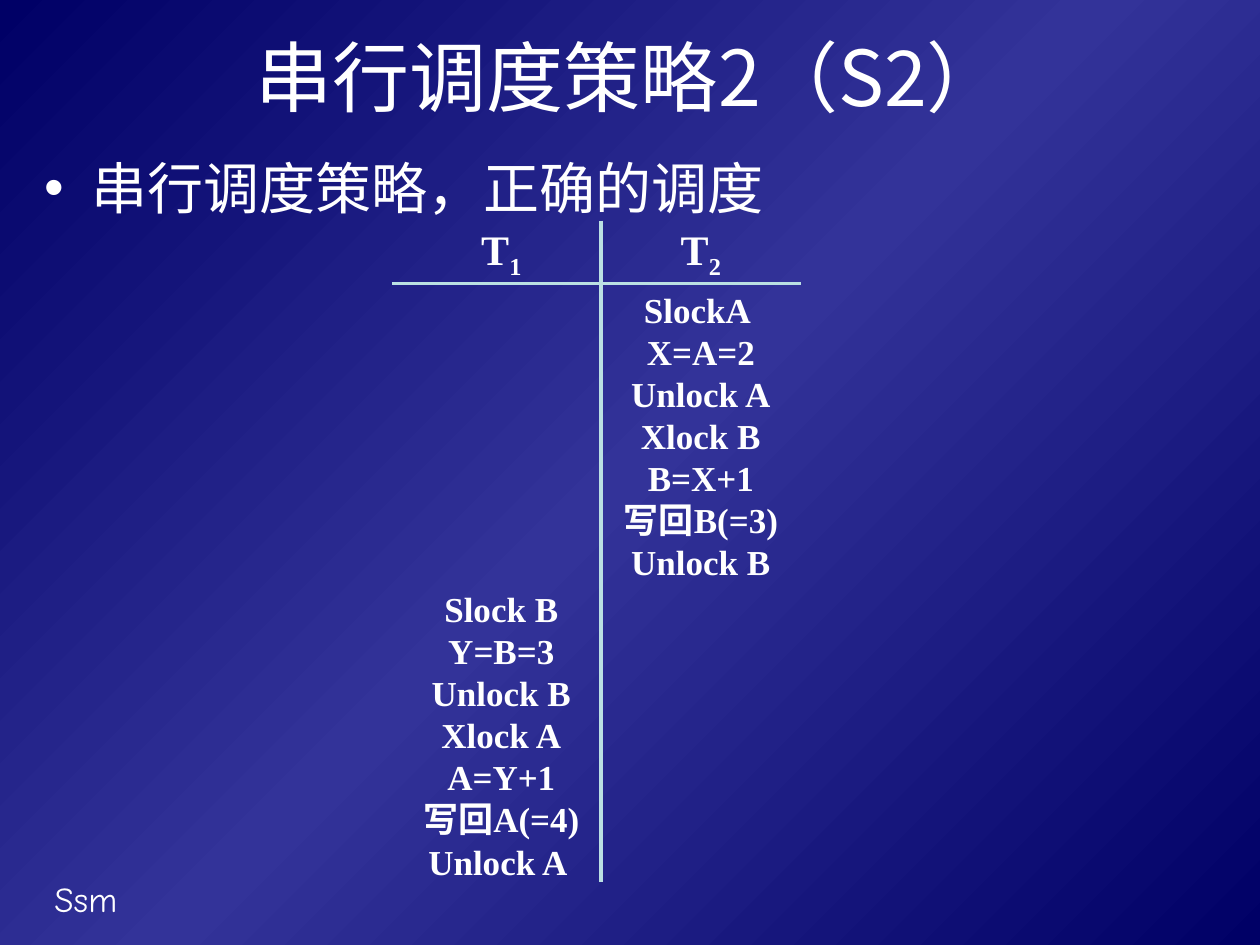
from copy import deepcopy

from lxml import etree
from pptx import Presentation
from pptx.dml.color import RGBColor
from pptx.enum.shapes import MSO_CONNECTOR
from pptx.enum.text import MSO_ANCHOR, MSO_AUTO_SIZE, PP_ALIGN
from pptx.oxml.ns import qn
from pptx.util import Pt

LEFT, MID = PP_ALIGN.LEFT, PP_ALIGN.CENTER
TOP, CENTER, BOTTOM = MSO_ANCHOR.TOP, MSO_ANCHOR.MIDDLE, MSO_ANCHOR.BOTTOM
FIXED = MSO_AUTO_SIZE.NONE
STRAIGHT = MSO_CONNECTOR.STRAIGHT

WHITE = RGBColor(0xFF, 0xFF, 0xFF)
NAVY = RGBColor(0x00, 0x00, 0x66)
INDIGO = RGBColor(0x33, 0x33, 0x99)
PALE = RGBColor(0xBB, 0xE0, 0xE3)

SANS, SERIF, COMIC = "Noto Sans CJK SC", "Times New Roman", "Comic Neue"

COL_W = 114
AXIS_X = 343.5
COL_X = {"1": AXIS_X - COL_W, "2": AXIS_X}
HEAD_Y, RULE_Y, END_Y = 126, 162, 504

STEPS_1 = ["Slock B", "Y=B=3", "Unlock B", "Xlock A", "A=Y+1",
           "写回A(=4)", "Unlock A "]
STEPS_2 = ["SlockA ", "X=A=2", "Unlock A", "Xlock B", "B=X+1",
           "写回B(=3)", "Unlock B"]


def paint_back(slide):
    fill = slide.background.fill
    fill.gradient()
    fill.gradient_angle = 315
    stops = slide.element.find(".//" + qn("a:gsLst"))
    stops.append(deepcopy(stops[0]))
    for stop, place, color in zip(fill.gradient_stops, (0, 0.5, 1),
                                  (NAVY, INDIGO, NAVY)):
        stop.position = place
        stop.color.rgb = color


def add_run(para, text, size, font, bold=False, sub=False):
    run = para.add_run()
    run.text = text
    run.font.size = Pt(size)
    run.font.bold = bold
    run.font.color.rgb = WHITE
    run.font.name = font
    props = run.font._element
    etree.SubElement(props, qn("a:ea")).set("typeface", SANS)
    if sub:
        props.set("baseline", "-25000")


def write(shape, lines, size=20, font=SERIF, bold=False, align=MID,
          anchor=CENTER, wrap=False, pitch=None, sub=None):
    """Fill a shape, one paragraph a line; sub is a subscript at the end."""
    frame = shape.text_frame
    frame.auto_size = FIXED
    frame.word_wrap = wrap
    frame.vertical_anchor = anchor
    for i, line in enumerate(lines):
        para = frame.add_paragraph() if i else frame.paragraphs[0]
        para.alignment = align
        para.space_before = Pt(0)
        if pitch:
            para.line_spacing = Pt(pitch)
        add_run(para, line, size, font, bold)
        if sub:
            add_run(para, sub, size, font, bold, sub=True)
    return frame


def add_box(slide, x, y, w, h):
    return slide.shapes.add_textbox(Pt(x), Pt(y), Pt(w), Pt(h))


def place(shape, x, y, w, h):
    shape.left, shape.top, shape.width, shape.height = map(Pt, (x, y, w, h))


def add_bullet(para, indent):
    props = para._p.get_or_add_pPr()
    props.set("marL", str(Pt(indent)))
    props.set("indent", str(-Pt(indent)))
    etree.SubElement(props, qn("a:buChar")).set("char", "•")


def add_rule(slide, x1, y1, x2, y2):
    rule = slide.shapes.add_connector(STRAIGHT, Pt(x1), Pt(y1), Pt(x2), Pt(y2))
    rule.line.color.rgb = PALE
    rule.line.width = Pt(2.25)
    etree.SubElement(rule._element.spPr, qn("a:effectLst"))


def add_steps(slide, name, lines, top, anchor):
    box = add_box(slide, COL_X[name], top, COL_W, END_Y - top)
    frame = write(box, lines, bold=True, anchor=anchor, pitch=24)
    frame.margin_top = Pt(3)
    frame.margin_bottom = Pt(0)


def main():
    deck = Presentation()
    deck.slide_width, deck.slide_height = Pt(720), Pt(540)
    slide = deck.slides.add_slide(deck.slide_layouts[1])
    paint_back(slide)

    title, body = slide.placeholders
    place(title, 36, 12, 648, 63)
    write(title, ["串行调度策略2（S2）"], size=44, font=SANS, wrap=True)
    place(body, 18, 84, 690, 414)
    frame = write(body, ["串行调度策略，正确的调度"], size=32, font=SANS,
                  align=LEFT, anchor=TOP, wrap=True)
    add_bullet(frame.paragraphs[0], 27)

    for name, x in COL_X.items():
        head = add_box(slide, x, HEAD_Y, COL_W, RULE_Y - HEAD_Y)
        write(head, ["T"], size=24, bold=True, sub=name)
    add_rule(slide, 224, RULE_Y, 458, RULE_Y)
    add_rule(slide, AXIS_X, HEAD_Y, AXIS_X, END_Y)
    add_steps(slide, "1", STEPS_1, 168, BOTTOM)
    add_steps(slide, "2", STEPS_2, RULE_Y, TOP)

    write(add_box(slide, 24, 498, 150, 32), ["Ssm"], font=COMIC,
          align=LEFT, anchor=TOP, wrap=True)
    deck.save("out.pptx")


if __name__ == "__main__":
    main()
